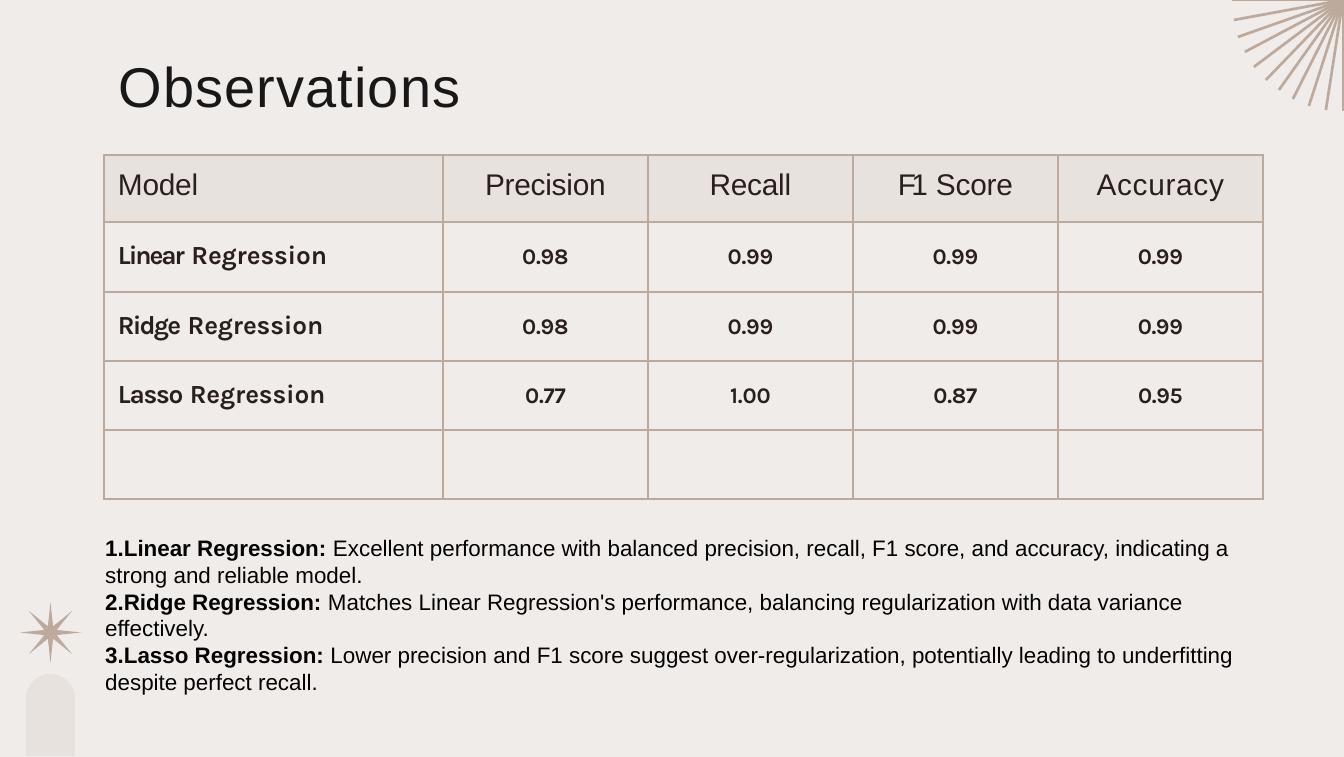
"""Build the Observations slide comparing three regression models."""
import math

from lxml import etree
from pptx import Presentation
from pptx import util as u
from pptx.dml.color import RGBColor
from pptx.enum import shapes, text
from pptx.oxml import ns

SCALE = 914400 / 134.4
BACKGROUND = RGBColor(0xF0, 0xEC, 0xEA)
TAN = RGBColor(0xBC, 0xAB, 0x9D)
PALE = RGBColor(0xE8, 0xE2, 0xDF)
TITLE = RGBColor(0x18, 0x18, 0x18)
INK = RGBColor(0x29, 0x1F, 0x20)
BLACK = RGBColor(0, 0, 0)


def px(length):
    return u.Emu(round(length * SCALE))


def write(paragraph, runs, font, size, color, bold=False):
    for words, spacing in runs:
        run = paragraph.add_run()
        run.text = words
        if spacing:
            run._r.get_or_add_rPr().set("spc", str(spacing))
    paragraph.font.name = font
    paragraph.font.size = u.Pt(size)
    paragraph.font.color.rgb = color
    paragraph.font.bold = bold


presentation = Presentation()
presentation.slide_width, presentation.slide_height = px(1344), px(757)
slide = presentation.slides.add_slide(presentation.slide_layouts[6])
slide.background.fill.solid()
slide.background.fill.fore_color.rgb = BACKGROUND

for preset, box, adjustment, color in [
    (shapes.MSO_SHAPE.STAR_8_POINT, (20, 602, 61, 61), 0.11, TAN),
    (shapes.MSO_SHAPE.ROUND_2_SAME_RECTANGLE, (26, 674, 49, 82), 0.5, PALE),
]:
    shape = slide.shapes.add_shape(preset, *map(px, box))
    shape.adjustments[0] = adjustment
    shape.shadow.inherit = False
    shape.fill.solid()
    shape.fill.fore_color.rgb = color
    shape.line.fill.background()

builder = slide.shapes.build_freeform(1343, 0, scale=SCALE)
for degrees in [8.85 * step for step in range(10)] + [90]:
    angle = math.radians(degrees)
    builder.move_to(1343, 0)
    tip = (1343 - 111 * math.sin(angle), 111 * math.cos(angle))
    builder.add_line_segments([tip], close=False)
sunburst = builder.convert_to_shape()
sunburst.shadow.inherit = False
sunburst.fill.background()
sunburst.line.color.rgb = TAN
sunburst.line.width = u.Pt(1.44)

title_box = slide.shapes.add_textbox(px(83), px(39), px(1133), px(103))
title = title_box.text_frame
title.word_wrap = True
title.margin_left, title.margin_top = px(36), px(13)
title.margin_right = title.margin_bottom = 0
write(title.paragraphs[0], [("Observations", 60)], "Arial", 30, TITLE)

ROWS = [
    [[("Model", -10)], [("Precision", -10)], [("Recall", -10)],
     [("F1", -250), (" Score", -10)], [("Accuracy", 40)]],
]
for name, spacing, scores in [
    ("Linear", -110, ["0.98", "0.99", "0.99", "0.99"]),
    ("Ridge", -100, ["0.98", "0.99", "0.99", "0.99"]),
    ("Lasso", -70, ["0.77", "1.00", "0.87", "0.95"]),
]:
    cells = [[(score, -10)] for score in scores[:-1]] + [[(scores[-1], -20)]]
    ROWS.append([[(name, spacing), (" Regression", -10)]] + cells)
ROWS.append([[]] * 5)

table = slide.shapes.add_table(5, 5, px(104), px(155), px(1159), px(344)).table
table.first_row = table.horz_banding = False
for column, width in zip(table.columns, [339, 205, 205, 205, 205]):
    column.width = px(width)
for row, height in zip(table.rows, [67, 70, 69, 69, 69]):
    row.height = px(height)

for row_index, row in enumerate(ROWS):
    for column_index, runs in enumerate(row):
        cell = table.cell(row_index, column_index)
        header, first = row_index == 0, column_index == 0
        cell.margin_left = px(14 if first else 0)
        cell.margin_right = cell.margin_bottom = 0
        cell.margin_top = px(14 if header else 19 if first else 22)
        properties = cell._tc.get_or_add_tcPr()
        for side in ("lnL", "lnR", "lnT", "lnB"):
            border = etree.SubElement(properties, ns.qn(f"a:{side}"), w=str(u.Pt(1.5)))
            fill = etree.SubElement(border, ns.qn("a:solidFill"))
            etree.SubElement(fill, ns.qn("a:srgbClr"), val=str(TAN))
        if header:
            cell.fill.solid()
            cell.fill.fore_color.rgb = PALE
        else:
            cell.fill.background()
        paragraph = cell.text_frame.paragraphs[0]
        paragraph.alignment = text.PP_ALIGN.LEFT if first else text.PP_ALIGN.CENTER
        size = 16 if header else 14 if first else 12
        write(paragraph, runs, "Arial" if header else "Karla", size, INK, not header)

notes = slide.shapes.add_textbox(px(92), px(499), px(1160), px(231)).text_frame
notes.word_wrap = True
notes.vertical_anchor = text.MSO_ANCHOR.MIDDLE
for number, (label, remark) in enumerate([
    ("Linear Regression:", " Excellent performance with balanced precision, recall, F1 score, "
     "and accuracy, indicating a strong and reliable model."),
    ("Ridge Regression:", " Matches Linear Regression's performance, balancing regularization "
     "with data variance effectively."),
    ("Lasso Regression:", " Lower precision and F1 score suggest over-regularization, "
     "potentially leading to underfitting despite perfect recall."),
], start=1):
    paragraph = notes.paragraphs[0] if number == 1 else notes.add_paragraph()
    properties = paragraph._p.get_or_add_pPr()
    properties.set("marL", "0")
    properties.set("indent", "0")
    etree.SubElement(properties, ns.qn("a:buAutoNum"), type="arabicPeriod", startAt=str(number))
    write(paragraph, [(label, 0), (remark, 0)], "Arial", 12, BLACK)
    paragraph.runs[0].font.bold = True

presentation.save("out.pptx")
